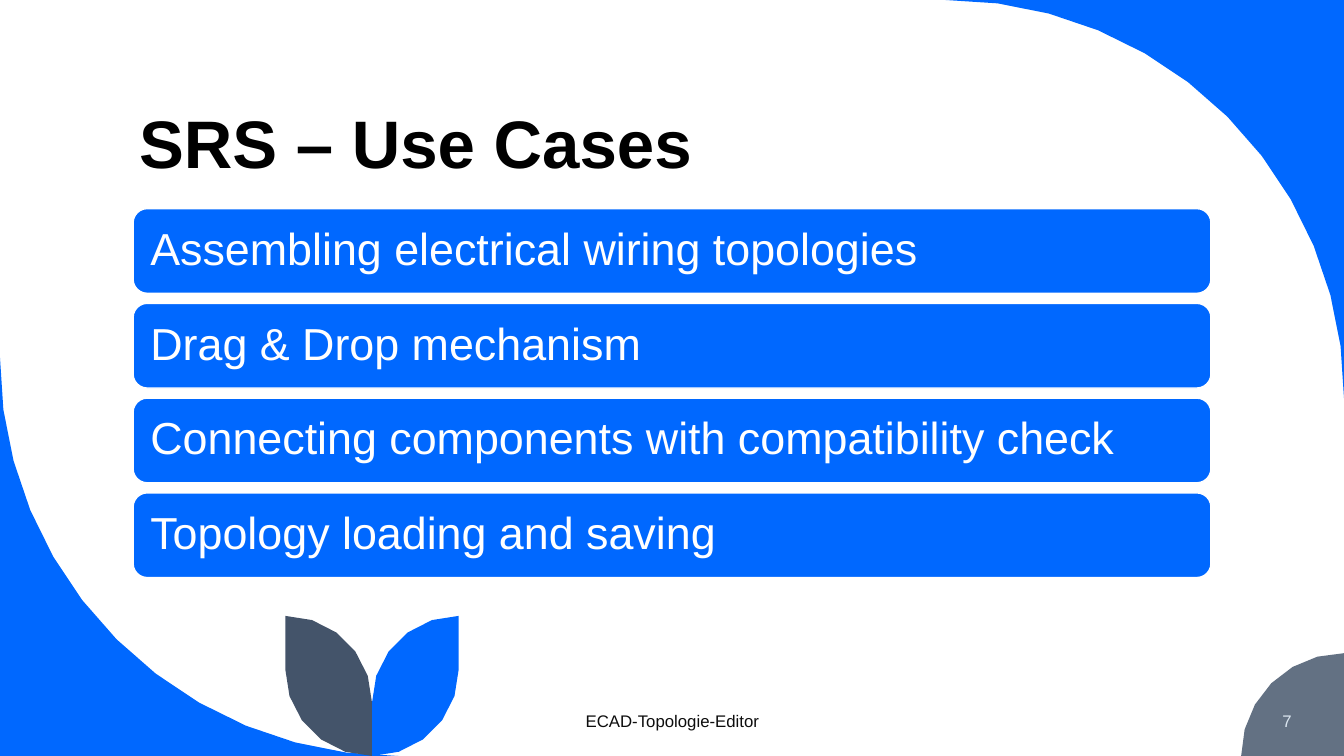
import math
from pptx import Presentation
from pptx.dml.color import RGBColor
from pptx.enum import shapes, text
from pptx.util import Inches, Pt

BLUE, SLATE, GREY = "0068FF", "44546A", "637183"


def paint(shape, fill, line=None):
    shape.shadow.inherit = False
    shape.fill.solid()
    shape.fill.fore_color.rgb = RGBColor.from_string(fill)
    if line:
        shape.line.color.rgb = RGBColor.from_string(line)
        shape.line.width = Pt(1)
    else:
        shape.line.fill.background()


def write(shape, words, size=12, color="000000", bold=False, align="LEFT",
          anchor="MIDDLE", inset=0.1, gap=1.0):
    frame = shape.text_frame
    frame.word_wrap = True
    frame.auto_size = text.MSO_AUTO_SIZE.NONE
    frame.vertical_anchor = text.MSO_ANCHOR[anchor]
    frame.margin_left = frame.margin_right = Inches(inset)
    frame.margin_top = frame.margin_bottom = Inches(0.05)
    frame.text = words
    para = frame.paragraphs[0]
    para.alignment = text.PP_ALIGN[align]
    para.line_spacing = gap
    font = para.runs[0].font
    font.name, font.size, font.bold = "Arial", Pt(size), bold
    font.color.rgb = RGBColor.from_string(color)


deck = Presentation()
deck.slide_width, deck.slide_height = Inches(13.33), Inches(7.5)
slide = deck.slides.add_slide(deck.slide_layouts[5])
items = slide.shapes

# Corners and leaves: fill, steps per arc, arcs (centre x, y, radius, from, to), end corner
curves = [
    (BLUE, 12, [(9.38, 3.95, 3.95, 0, -90)], [(13.33, 0)]),
    (BLUE, 12, [(3.95, 3.55, 3.95, 180, 90)], [(0, 7.5)]),
    (GREY, 6, [(13.33, 7.5, 1.02, 180, 270)], [(13.33, 7.5)]),
    (BLUE, 5, [(3.69, 6.64, 0.86, 0, 90), (4.55, 6.97, 0.86, 180, 270)], []),
    (SLATE, 5, [(3.69, 6.64, 0.86, 180, 90), (2.83, 6.97, 0.86, 0, -90)], []),
]
for fill, steps, arcs, ends in curves:
    dots = []
    for x, y, r, start, stop in arcs:
        for i in range(steps + 1):
            turn = math.radians(start + (stop - start) * i / steps)
            dots.append((x + r * math.cos(turn), y + r * math.sin(turn)))
    dots = [(Inches(x), Inches(y)) for x, y in dots + ends]
    outline = items.build_freeform(*dots[0])
    outline.add_line_segments(dots[1:], close=True)
    paint(outline.convert_to_shape(), fill)

# Title
title = items.title
title.left, title.top = Inches(1.28), Inches(0.42)
title.width, title.height = Inches(10.69), Inches(1.45)
write(title, "SRS – Use Cases", size=48, bold=True, anchor="BOTTOM", gap=0.9)

# Use case bars
cases = [
    "Assembling electrical wiring topologies",
    "Drag & Drop mechanism",
    "Connecting components with compatibility check",
    "Topology loading and saving",
]
for row, case in enumerate(cases):
    bar = items.add_shape(shapes.MSO_SHAPE.ROUNDED_RECTANGLE, Inches(1.32),
                          Inches(2.07 + 0.94 * row), Inches(10.69), Inches(0.84))
    paint(bar, BLUE, "FFFFFF")
    write(bar, case, size=32, color="FFFFFF", inset=0.13, gap=0.9)

# Footer and slide number
for left, width, words, color, align in [
    (4.42, 4.5, "ECAD-Topologie-Editor", "0D0D0D", "CENTER"),
    (11.1, 1.81, "7", "DAE5EF", "RIGHT"),
]:
    box = items.add_textbox(Inches(left), Inches(6.95), Inches(width), Inches(0.4))
    write(box, words, color=color, align=align)

deck.save("out.pptx")
